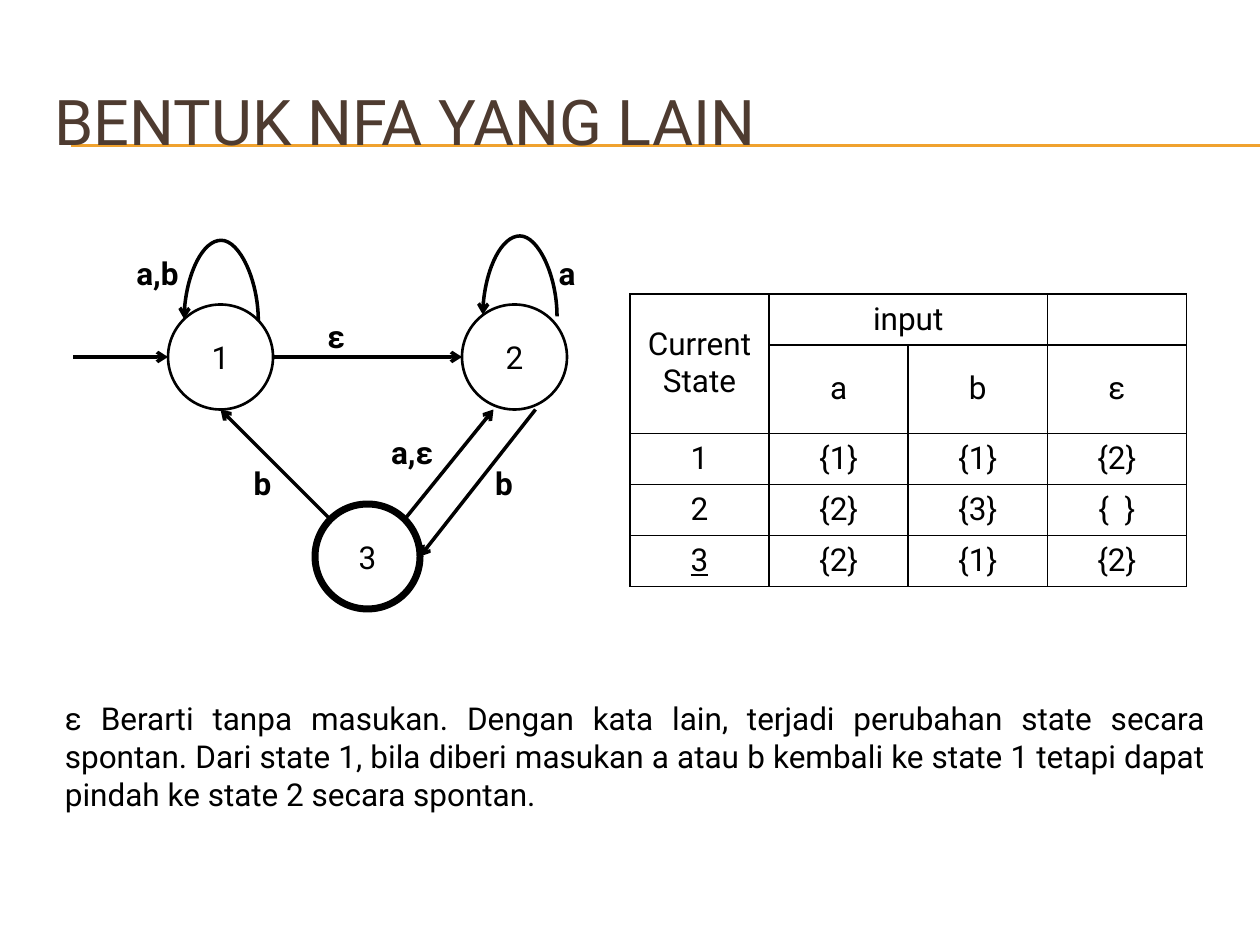
import pptx
import pptx.util
import pptx.dml.color
import pptx.enum.shapes
import pptx.enum.text
import pptx.oxml
import pptx.oxml.ns

Pt = pptx.util.Pt
ALIGN = pptx.enum.text.PP_ALIGN
ANCHOR = pptx.enum.text.MSO_ANCHOR
CONNECTOR = pptx.enum.shapes.MSO_CONNECTOR

# Content, lengths in points
FONT = "Roboto"
BLACK, WHITE, BROWN, ORANGE = "000000", "FFFFFF", "4E3B30", "F0A22E"
TITLE = "BENTUK NFA YANG LAIN"
EXPLANATION = (
    "ε Berarti tanpa masukan. Dengan kata lain, terjadi perubahan state secara "
    "spontan. Dari state 1, bila diberi masukan a atau b kembali ke state 1 "
    "tetapi dapat pindah ke state 2 secara spontan."
)
RULES_Y = (82.8, 83.5)
DIAMETER = 60
STATES = [("3", 180, 288, 4), ("1", 96, 174, 1.5), ("2", 264, 174, 1.5)]
TRANSITIONS = [
    ((42, 204), (96, 204)),
    ((156, 204), (264, 204)),
    ((306, 234), (240, 318)),
    ((231.2, 296.8), (282, 234)),
    ((188.8, 296.8), (126, 234)),
]
LOOP_CENTRES = [(126.4, 182.8), (297.1, 180.3)]
LOOP_SPAN, LOOP_DEPTH, LOOP_ADJUST = 42.4, 1, 4633000
LABELS = [("a,b", 60, 138), ("b", 120, 258), ("ε", 162, 174),
          ("a,ε", 205.5, 240), ("b", 258, 258), ("a", 294, 138)]
LABEL_SIZE = (60, 36)
TABLE_ROWS = [
    ["Current State", "input", "", ""],
    ["", "a", "b", "ε"],
    ["1", "{1}", "{1}", "{2}"],
    ["2", "{2}", "{3}", "{  }"],
    ["3", "{2}", "{1}", "{2}"],
]
MERGES = [((0, 0), (1, 0)), ((0, 1), (0, 2))]
FINAL_STATE_CELL = (4, 0)
COLUMN_WIDTH, ROW_HEIGHT = 79.5, 29.2


def colour(hex_value):
    return pptx.dml.color.RGBColor.from_string(hex_value)


def write(frame, text, align, size=18, ink=BLACK, bold=None, underline=None):
    paragraph = frame.paragraphs[0]
    paragraph.alignment = align
    run = paragraph.add_run()
    run.text = text
    run.font.name, run.font.size = FONT, Pt(size)
    run.font.bold, run.font.underline = bold, underline
    run.font.color.rgb = colour(ink)


def draw_line(kind, start, end, ink=BLACK, width=2.0, arrow=True):
    line = slide.shapes.add_connector(kind, *map(Pt, start + end))
    line.line.color.rgb = colour(ink)
    line.line.width = Pt(width)
    properties = line._element.spPr
    if arrow:
        tail = pptx.oxml.ns.qn("a:tailEnd")
        properties.find(pptx.oxml.ns.qn("a:ln")).makeelement(tail)
        outline = properties.find(pptx.oxml.ns.qn("a:ln"))
        outline.append(outline.makeelement(tail, {"type": "arrow"}))
    properties.append(properties.makeelement(pptx.oxml.ns.qn("a:effectLst")))
    return line


def add_text(text, box, anchor, align, bold=None):
    frame = slide.shapes.add_textbox(*map(Pt, box)).text_frame
    frame.word_wrap = True
    frame.vertical_anchor = anchor
    write(frame, text, align, bold=bold)
    return frame


def border(cell):
    properties = cell._tc.get_or_add_tcPr()
    for position, side in enumerate(("lnL", "lnR", "lnT", "lnB")):
        properties.insert(position, pptx.oxml.parse_xml(
            f'<a:{side} {pptx.oxml.ns.nsdecls("a")} w="12700"><a:solidFill>'
            f'<a:srgbClr val="{BLACK}"/></a:solidFill></a:{side}>'))


presentation = pptx.Presentation()
presentation.slide_width, presentation.slide_height = Pt(720), Pt(540)
slide = presentation.slides.add_slide(presentation.slide_layouts[5])

# Title, with the two rules behind it
title = slide.shapes.title
title.left, title.top, title.width, title.height = map(Pt, (24, 36, 684, 66))
title.text_frame.vertical_anchor = ANCHOR.MIDDLE
write(title.text_frame, TITLE, ALIGN.LEFT, 36, BROWN)
for y in RULES_Y:
    rule = draw_line(CONNECTOR.STRAIGHT, (40.5, y), (720, y), ORANGE, 0.75, False)
    title._element.addprevious(rule._element)

# States
for name, left, top, outline_width in STATES:
    state = slide.shapes.add_shape(
        pptx.enum.shapes.MSO_SHAPE.FLOWCHART_CONNECTOR,
        Pt(left), Pt(top), Pt(DIAMETER), Pt(DIAMETER))
    state.shadow.inherit = False
    state.fill.solid()
    state.fill.fore_color.rgb = colour(WHITE)
    state.line.color.rgb = colour(BLACK)
    state.line.width = Pt(outline_width)
    state.text_frame.vertical_anchor = ANCHOR.MIDDLE
    write(state.text_frame, name, ALIGN.CENTER)

# Transitions and self-loops
for start, end in TRANSITIONS:
    draw_line(CONNECTOR.STRAIGHT, start, end)
for x, y in LOOP_CENTRES:
    dx, dy = LOOP_DEPTH / 2, LOOP_SPAN / 2
    loop = draw_line(CONNECTOR.CURVE, (x - dx, y + dy), (x + dx, y - dy))
    loop._element.spPr.xfrm.set("rot", str(270 * 60000))
    adjustments = loop._element.spPr.find(".//" + pptx.oxml.ns.qn("a:avLst"))
    adjustments.append(adjustments.makeelement(
        pptx.oxml.ns.qn("a:gd"), {"name": "adj1", "fmla": f"val {LOOP_ADJUST}"}))
for text, left, top in LABELS:
    add_text(text, (left, top) + LABEL_SIZE, ANCHOR.MIDDLE, ALIGN.CENTER, True)

# Transition table
row_count, column_count = len(TABLE_ROWS), len(TABLE_ROWS[0])
table = slide.shapes.add_table(
    row_count, column_count, Pt(360), Pt(168),
    Pt(column_count * COLUMN_WIDTH), Pt(row_count * ROW_HEIGHT)).table
table.first_row = table.horz_banding = False
for column in table.columns:
    column.width = Pt(COLUMN_WIDTH)
for row in table.rows:
    row.height = Pt(ROW_HEIGHT)
for first, last in MERGES:
    table.cell(*first).merge(table.cell(*last))
for r, row in enumerate(TABLE_ROWS):
    for c, text in enumerate(row):
        cell = table.cell(r, c)
        cell.fill.background()
        border(cell)
        cell.vertical_anchor = ANCHOR.MIDDLE
        if text:
            write(cell.text_frame, text, ALIGN.CENTER,
                  underline=True if (r, c) == FINAL_STATE_CELL else None)

# Explanation
explanation = add_text(EXPLANATION, (30, 396, 666, 72.7), ANCHOR.TOP, ALIGN.JUSTIFY)
explanation.auto_size = pptx.enum.text.MSO_AUTO_SIZE.SHAPE_TO_FIT_TEXT

presentation.save("out.pptx")
